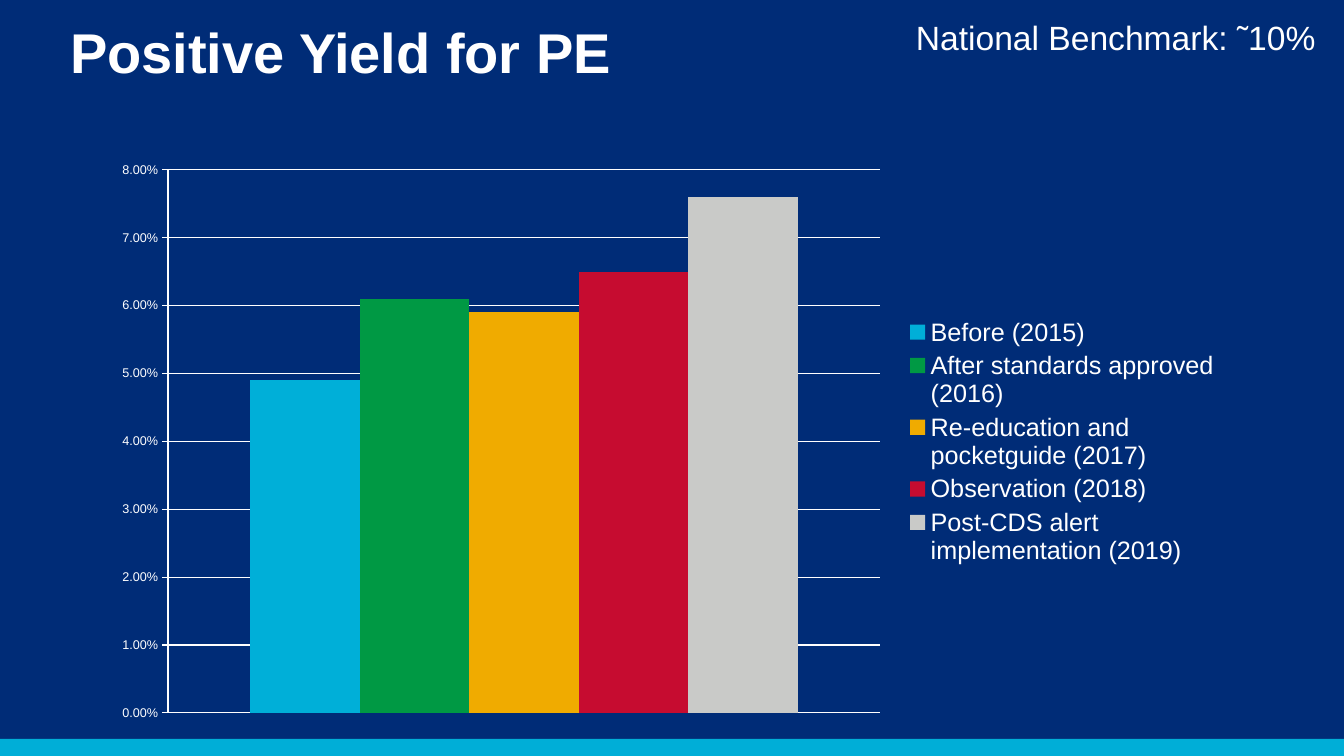
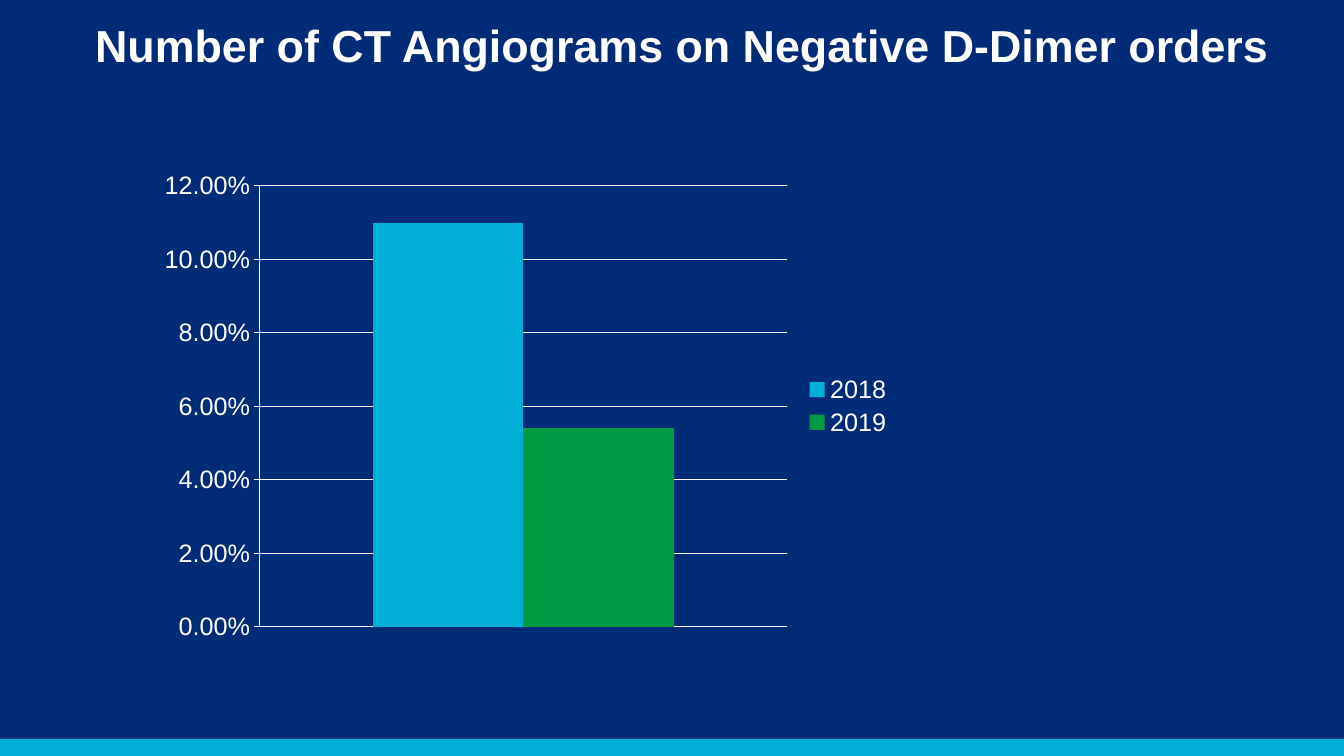
from lxml.etree import SubElement as Sub
from pptx import Presentation
from pptx.chart.data import CategoryChartData as Data
from pptx.dml.color import RGBColor as RGB
from pptx.enum.chart import XL_CHART_TYPE as Kind, XL_LEGEND_POSITION as Side, XL_TICK_MARK as Tick
from pptx.enum.shapes import MSO_SHAPE as Form
from pptx.enum.text import MSO_ANCHOR as Anchor, MSO_AUTO_SIZE as Auto, PP_ALIGN as Align
from pptx.oxml.ns import qn
from pptx.util import Pt

PX = 914400 / 100.8
WIDE, HIGH, BAND = 1344, 756, 17
FONT = "Arial"
HUES = {"navy": "002C77", "band": "00AED7", "white": "FFFFFF", "cyan": "00AFD8",
        "green": "009944", "gold": "F0AB00", "red": "C60C30", "gray": "C9CAC8"}
FILLS = ["cyan", "green", "gold", "red", "gray"]
PANELS = [("navy", (0, 0, WIDE, HIGH - BAND)), ("band", (0, HIGH - BAND, WIDE, BAND))]

SLIDES = [
    {
        "title": ("Positive Yield for PE", 40, (60, 12, 566, 78)),
        "note": ("National Benchmark: ˜10%", 24, (906, 12, 424, 50)),
        "chart": (100, 150, 1131, 581),
        "plot": (168, 170, 712, 543),
        "legend": (902, 313, 320, 257),
        "axis": (0.08, 0.01, 9),
        "bars": [
            ("Before (2015)", 0.049),
            ("After standards approved (2016)", 0.061),
            ("Re-education and pocketguide (2017)", 0.059),
            ("Observation (2018)", 0.065),
            ("Post-CDS alert implementation (2019)", 0.076),
        ],
    },
    {
        "title": ("Number of CT Angiograms on Negative D-Dimer orders", 32, (85, 13, 1204, 65)),
        "chart": (149, 161, 755, 489),
        "plot": (260, 186, 527, 441),
        "legend": (803, 371, 90, 70),
        "axis": (0.12, 0.02, 18),
        "bars": [("2018", 0.11), ("2019", 0.054)],
    },
]


def emu(box):
    return [round(n * PX) for n in box]


def color(name):
    return RGB.from_string(HUES[name])


def style(font, size, bold=False):
    font.name, font.size, font.bold = FONT, Pt(size), bold
    font.color.rgb = color("white")


def rule(line):
    line.color.rgb = color("white")
    line.width = Pt(0.75)


def write(shape, text, size, box, bold=False):
    shape.left, shape.top, shape.width, shape.height = emu(box)
    frame = shape.text_frame
    frame.word_wrap = False
    frame.auto_size = Auto.SHAPE_TO_FIT_TEXT
    frame.vertical_anchor = Anchor.TOP
    par = frame.paragraphs[0]
    par.alignment = Align.LEFT
    run = par.add_run()
    run.text = text
    style(run.font, size, bold)


def place(node, index, box, outer, inner=False):
    for old in node.findall(qn("c:layout")):
        node.remove(old)
    lay = Sub(node, qn("c:layout"))
    node.insert(index, lay)
    man = Sub(lay, qn("c:manualLayout"))
    if inner:
        Sub(man, qn("c:layoutTarget")).set("val", "inner")
    for key in "xy":
        Sub(man, qn(f"c:{key}Mode")).set("val", "edge")
    left, top, wide, high = box
    x, y, w, h = outer
    parts = {"x": (left - x) / w, "y": (top - y) / h, "w": wide / w, "h": high / h}
    for key, val in parts.items():
        Sub(man, qn(f"c:{key}")).set("val", f"{val:.4f}")


def draw(slide, item):
    data = Data(number_format="0.00%")
    data.categories = ["1"]
    for name, val in item["bars"]:
        data.add_series(name, [val])
    box = item["chart"]
    chart = slide.shapes.add_chart(Kind.COLUMN_CLUSTERED, *emu(box), data).chart
    top, step, size = item["axis"]
    style(chart.font, size)
    chart.has_title = False

    plot = chart.plots[0]
    plot.gap_width, plot.overlap, plot.vary_by_categories = 150, 0, False
    for bar, hue in zip(plot.series, FILLS):
        bar.format.fill.solid()
        bar.format.fill.fore_color.rgb = color(hue)

    chart.category_axis.visible = False
    axis = chart.value_axis
    axis.minimum_scale, axis.maximum_scale, axis.major_unit = 0, top, step
    axis.major_tick_mark, axis.minor_tick_mark = Tick.OUTSIDE, Tick.NONE
    axis.tick_labels.number_format = "0.00%"
    axis.tick_labels.number_format_is_linked = False
    style(axis.tick_labels.font, size)
    rule(axis.format.line)
    axis.has_major_gridlines = True
    rule(axis.major_gridlines.format.line)

    chart.has_legend = True
    key = chart.legend
    key.position = Side.RIGHT
    key.include_in_layout = False
    style(key.font, 18)
    area = chart.element.find(".//" + qn("c:plotArea"))
    place(area, 0, item["plot"], box, True)
    place(area.getparent().find(qn("c:legend")), 1, item["legend"], box)


def theme(deck, slide):
    tree = deck.slide_master.element.cSld.spTree
    for spot, (hue, box) in enumerate(PANELS, 2):
        panel = slide.shapes.add_shape(Form.RECTANGLE, *emu(box))
        panel.shadow.inherit = False
        panel.fill.solid()
        panel.fill.fore_color.rgb = color(hue)
        panel.line.fill.background()
        tree.insert(spot, panel.element)


def main():
    deck = Presentation()
    deck.slide_width, deck.slide_height = emu((WIDE, HIGH))
    for num, item in enumerate(SLIDES):
        slide = deck.slides.add_slide(deck.slide_layouts[5])
        if num == 0:
            theme(deck, slide)
        write(slide.shapes.title, *item["title"], bold=True)
        draw(slide, item)
        if "note" in item:
            note = item["note"]
            write(slide.shapes.add_textbox(*emu(note[2])), *note)
    deck.save("out.pptx")


if __name__ == "__main__":
    main()
